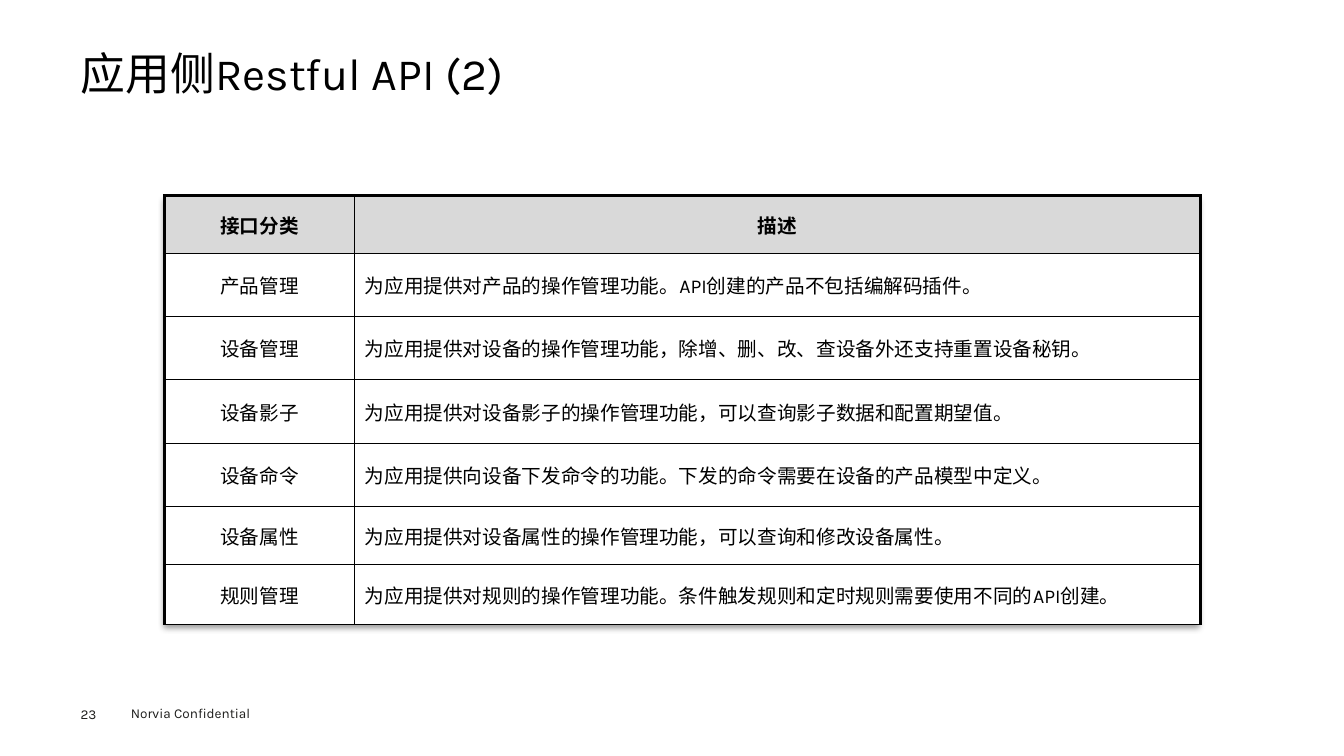
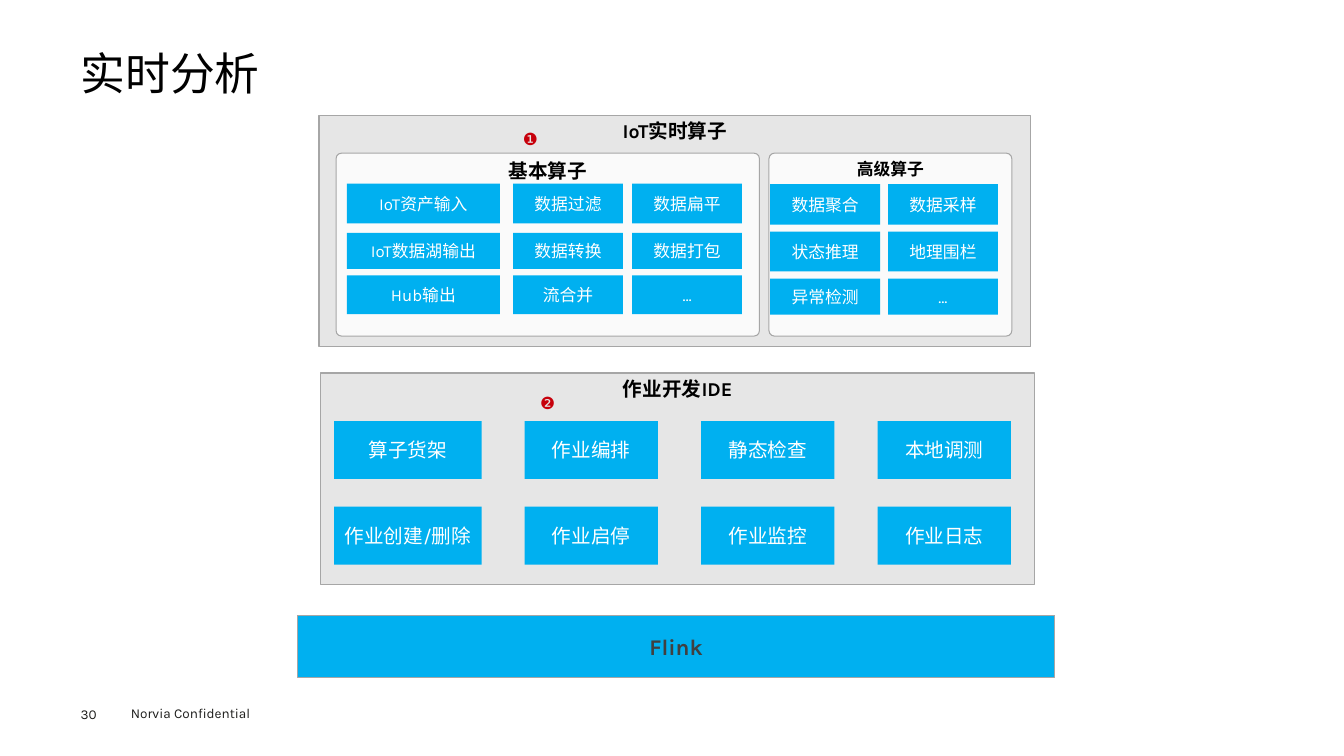
from lxml.etree import SubElement
from pptx import Presentation
from pptx.dml.color import RGBColor
from pptx.enum.lang import MSO_LANGUAGE_ID as Language
from pptx.enum.shapes import MSO_SHAPE as Shape
from pptx.enum.text import MSO_ANCHOR as Anchor, MSO_AUTO_SIZE as AutoSize, PP_ALIGN as Align
from pptx.oxml.ns import qn
from pptx.util import Cm, Pt

# Shared style
FONT = "Karla"
BLACK, WHITE, INK, DARK = "000000", "FFFFFF", "1D1D1B", "404040"
BLUE, RED = "00B0F0", "C7000B"
PANEL, HEADER, OUTLINE = "E6E6E6", "D9D9D9", "A6A6A6"
LEFT = 2.03
PANEL_INSETS = (0.18, 0.1)
TILE_INSETS = (0, 0.08)

# Interface table
TABLE_BOX = (4.14, 4.93, 26.11, 10.8)
COLUMN_WIDTHS = (4.8, 21.31)
ROW_HEIGHTS = (1.46, 1.59, 1.59, 1.61, 1.59, 1.46, 1.5)
INTERFACES = [
    ("接口分类", "描述"),
    ("产品管理", "为应用提供对产品的操作管理功能。API创建的产品不包括编解码插件。"),
    ("设备管理", "为应用提供对设备的操作管理功能，除增、删、改、查设备外还支持重置设备秘钥。"),
    ("设备影子", "为应用提供对设备影子的操作管理功能，可以查询影子数据和配置期望值。"),
    ("设备命令", "为应用提供向设备下发命令的功能。下发的命令需要在设备的产品模型中定义。"),
    ("设备属性", "为应用提供对设备属性的操作管理功能，可以查询和修改设备属性。"),
    ("规则管理", "为应用提供对规则的操作管理功能。条件触发规则和定时规则需要使用不同的API创建。"),
]

# Tile grids: columns are (left, width), rows are (top, height, labels)
BASIC_COLUMNS = [(8.74, 3.86), (12.93, 2.77), (15.93, 2.77)]
BASIC_ROWS = [
    (4.63, 1, ("IoT资产输入", "数据过滤", "数据扁平")),
    (5.87, 0.91, ("IoT数据湖输出", "数据转换", "数据打包")),
    (6.94, 0.98, ("Hub输出", "流合并", "…")),
]
ADVANCED_COLUMNS = [(19.41, 2.77), (22.38, 2.77)]
ADVANCED_ROWS = [
    (4.64, 1.02, ("数据聚合", "数据采样")),
    (5.84, 1, ("状态推理", "地理围栏")),
    (7.02, 0.91, ("异常检测", "…")),
]
JOB_COLUMNS = [(8.42, 3.72)] + [(13.22 + 4.45 * i, 3.36) for i in range(3)]
JOB_ROWS = [
    (10.61, 1.46, ("算子货架", "作业编排", "静态检查", "本地调测")),
    (12.77, 1.46, ("作业创建/删除", "作业启停", "作业监控", "作业日志")),
]


def color(value):
    return RGBColor.from_string(value)


def lengths(values):
    return [Cm(value) for value in values]


def write(frame, text, size=14, ink=BLACK, bold=False, align=Align.LEFT,
          anchor=Anchor.TOP, insets=None, wrap=True, spacing=None):
    """Put one formatted paragraph in a text frame."""
    frame.word_wrap = wrap
    frame.vertical_anchor = anchor
    if insets is not None:
        frame.margin_left = frame.margin_right = Cm(insets[0])
        frame.margin_top = frame.margin_bottom = Cm(insets[1])
    paragraph = frame.paragraphs[0]
    paragraph.alignment = align
    paragraph.line_spacing = spacing
    run = paragraph.add_run()
    run.text = text
    font = run.font
    font.name, font.size, font.bold = FONT, Pt(size), bold
    font.color.rgb = color(ink)
    font.language_id = Language.SIMPLIFIED_CHINESE


def add_label(slide, box, text, **style):
    write(slide.shapes.add_textbox(*lengths(box)).text_frame, text, **style)


def add_box(slide, box, fill, preset=Shape.RECTANGLE, radius=None, line=None, opacity=None):
    shape = slide.shapes.add_shape(preset, *lengths(box))
    shape.shadow.inherit = False
    if radius is not None:
        shape.adjustments[0] = radius
    shape.fill.solid()
    shape.fill.fore_color.rgb = color(fill)
    if opacity is not None:
        rgb = shape.element.spPr.find(qn("a:solidFill"))[0]
        SubElement(rgb, qn("a:alpha"), val=str(opacity * 1000))
    if line:
        shape.line.color.rgb = color(line)
        shape.line.width = Pt(0.75)
    else:
        shape.line.fill.background()
    return shape


def add_panel(slide, box, text, fill=PANEL, size=14, ink=BLACK, anchor=Anchor.TOP, **look):
    shape = add_box(slide, box, fill, line=OUTLINE, **look)
    write(shape.text_frame, text, size=size, ink=ink, bold=True, align=Align.CENTER,
          anchor=anchor, insets=PANEL_INSETS)


def add_tiles(slide, columns, rows, size):
    for top, height, labels in rows:
        for (left, width), label in zip(columns, labels):
            tile = add_box(slide, (left, top, width, height), BLUE)
            write(tile.text_frame, label, size=size, ink=WHITE, align=Align.CENTER,
                  anchor=Anchor.MIDDLE, insets=TILE_INSETS)


def add_drop_shadow(shape):
    effects = shape.element.spPr.find(qn("a:effectLst"))
    shadow = SubElement(effects, qn("a:outerShdw"), blurRad=str(Pt(4)), dist=str(Pt(3)),
                        dir="5400000", algn="t", rotWithShape="0")
    rgb = SubElement(shadow, qn("a:srgbClr"), val=BLACK)
    SubElement(rgb, qn("a:alpha"), val="40000")


def set_borders(cell, widths):
    """Draw black borders; widths go left, right, top, bottom."""
    properties = cell._tc.get_or_add_tcPr()
    for side, width in zip("LRTB", widths):
        line = SubElement(properties, qn(f"a:ln{side}"), w=str(Pt(width)))
        fill = SubElement(line, qn("a:solidFill"))
        SubElement(fill, qn("a:srgbClr"), val=BLACK)


def add_interface_table(slide):
    add_drop_shadow(add_box(slide, TABLE_BOX, WHITE))
    frame = slide.shapes.add_table(len(INTERFACES), len(COLUMN_WIDTHS), *lengths(TABLE_BOX))
    table = frame.table
    table.first_row = table.horz_banding = False
    for column, width in zip(table.columns, COLUMN_WIDTHS):
        column.width = Cm(width)
    for row, height in zip(table.rows, ROW_HEIGHTS):
        row.height = Cm(height)
    for i, texts in enumerate(INTERFACES):
        for j, text in enumerate(texts):
            cell = table.cell(i, j)
            header, first = i == 0, j == 0
            set_borders(cell, (2.25 if first else 1, 1 if first else 2.25,
                               2.25 if header else 1, 1))
            cell.fill.solid()
            cell.fill.fore_color.rgb = color(HEADER if header else WHITE)
            cell.vertical_anchor = Anchor.MIDDLE
            write(cell.text_frame, text, bold=header, anchor=Anchor.MIDDLE,
                  align=Align.CENTER if header or first else Align.LEFT)


def add_slide(presentation, title, number):
    """Start a slide with the shared title and footer."""
    slide = presentation.slides.add_slide(presentation.slide_layouts[5])
    shape = slide.shapes.title
    shape.left, shape.top, shape.width, shape.height = lengths((LEFT, 1.24, 29.8, 1.37))
    shape.text_frame.auto_size = AutoSize.NONE
    write(shape.text_frame, title, size=32, anchor=Anchor.MIDDLE, insets=(0, 0), spacing=0.9)
    add_label(slide, (3.05, 17.65, 4.06, 0.69), "Norvia Confidential", size=9.7, ink=INK)
    add_label(slide, (LEFT, 17.78, 1.4, 0.41), number, size=9.7, ink=INK, insets=(0, 0))
    return slide


def add_analysis_diagram(slide):
    # Job development
    add_panel(slide, (8.08, 9.4, 18, 5.33), "作业开发IDE")
    add_tiles(slide, JOB_COLUMNS, JOB_ROWS, 14)

    # Real-time operators
    add_panel(slide, (8.04, 2.9, 17.94, 5.84), "IoT实时算子")
    rounded = dict(fill=WHITE, opacity=80, preset=Shape.ROUNDED_RECTANGLE, radius=0.03)
    add_panel(slide, (8.47, 3.86, 10.67, 4.61), "基本算子", **rounded)
    add_panel(slide, (19.38, 3.86, 6.12, 4.61), "高级算子", size=12, **rounded)
    add_tiles(slide, BASIC_COLUMNS, BASIC_ROWS, 12)
    add_tiles(slide, ADVANCED_COLUMNS, ADVANCED_ROWS, 12)

    # Step marks and engine
    for mark, left, top in (("❶", 12.93, 3.12), ("❷", 13.36, 9.77)):
        add_label(slide, (left, top, 1.3, 0.91), mark, size=12, ink=RED, wrap=False)
    add_panel(slide, (7.5, 15.5, 19.08, 1.57), "Flink", fill=BLUE, size=16, ink=DARK,
              anchor=Anchor.MIDDLE)


def main():
    presentation = Presentation()
    presentation.slide_width, presentation.slide_height = Cm(33.87), Cm(19.05)
    add_interface_table(add_slide(presentation, "应用侧Restful API (2)", "23"))
    add_analysis_diagram(add_slide(presentation, "实时分析", "30"))
    presentation.save("out.pptx")


if __name__ == "__main__":
    main()
